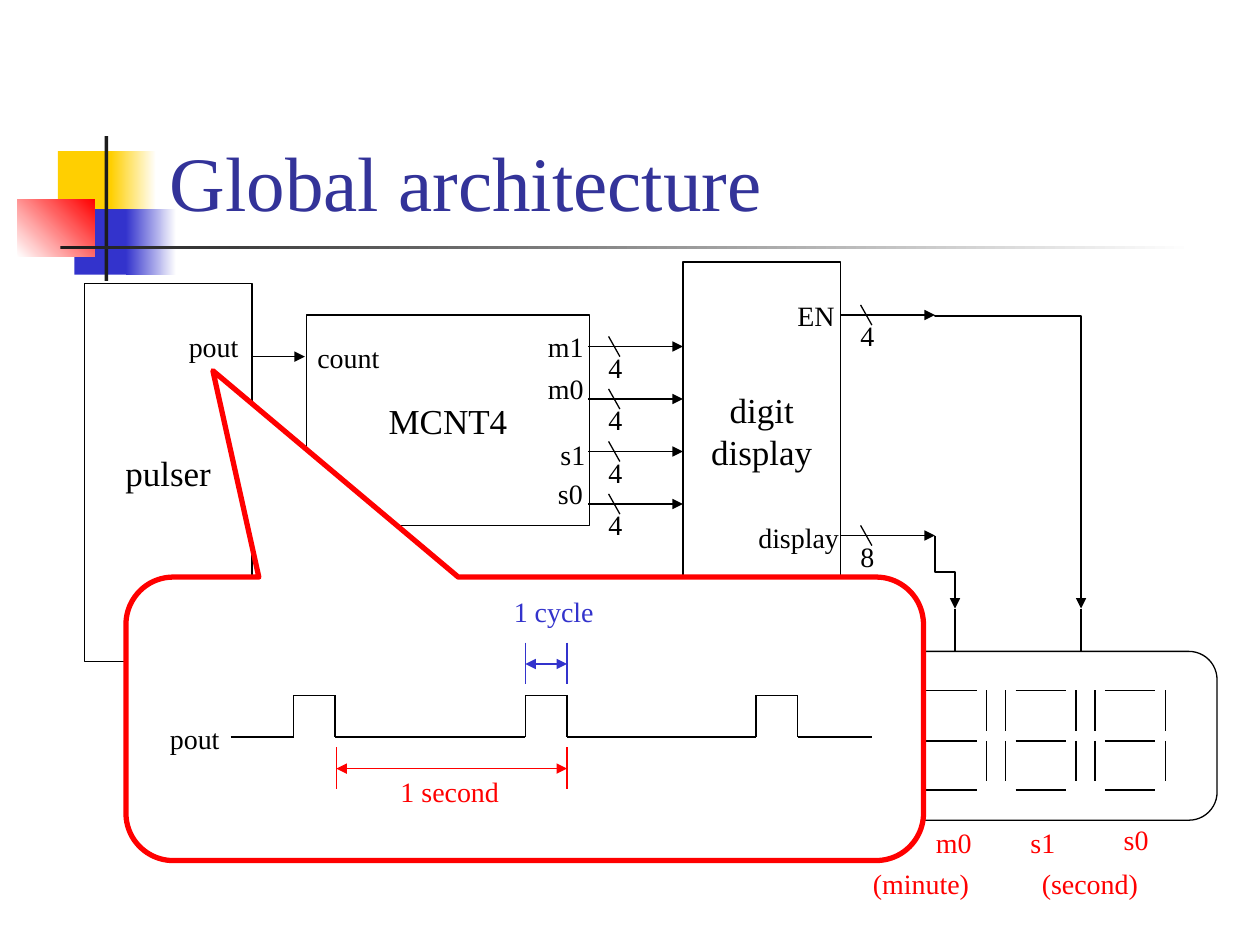
from dataclasses import dataclass
from itertools import pairwise
from typing import Optional

from lxml.etree import SubElement
from pptx import Presentation
from pptx.dml.color import RGBColor
from pptx.enum.shapes import MSO_CONNECTOR, MSO_SHAPE
from pptx.enum.text import MSO_ANCHOR, MSO_AUTO_SIZE, PP_ALIGN
from pptx.oxml.ns import qn
from pptx.util import Inches, Pt

COLORS = {
    "black": "000000", "white": "FFFFFF", "red": "FF0000", "blue": "3333CC",
    "yellow": "FFCF01", "bar": "1C1C1C", "title": "333399",
}
FONT = "Times New Roman"


@dataclass
class Deco:
    left: float
    top: float
    width: float
    height: float
    start: str
    end: Optional[str] = None
    angle: float = 0


@dataclass
class Block:
    text: str
    left: float
    top: float
    width: float
    height: float


@dataclass
class Label:
    text: str
    left: float
    top: float
    width: float
    color: str = "black"


@dataclass
class Bus:
    bits: str
    left: float
    y: float


@dataclass
class Elbow:
    left: float
    top: float
    right: float
    bottom: float
    bend: int


@dataclass
class Span:
    left: float
    right: float
    top: float
    color: str


def rgb(name: str) -> RGBColor:
    return RGBColor.from_string(COLORS[name])


def style_text(tf, size: float, color: str) -> None:
    for p in tf.paragraphs:
        for r in p.runs:
            r.font.name = FONT
            r.font.size = Pt(size)
            r.font.color.rgb = rgb(color)


def add_box(kind, left: float, top: float, width: float, height: float):
    s = slide.shapes.add_shape(kind, Inches(left), Inches(top), Inches(width), Inches(height))
    s.shadow.inherit = False
    s.fill.background()
    s.line.color.rgb = rgb("black")
    s.line.width = Pt(0.75)
    return s


def add_deco(d: Deco) -> None:
    s = add_box(MSO_SHAPE.RECTANGLE, d.left, d.top, d.width, d.height)
    s.line.fill.background()
    if d.end is None:
        s.fill.solid()
        s.fill.fore_color.rgb = rgb(d.start)
        return
    s.fill.gradient()
    s.fill.gradient_angle = d.angle
    for stop, color in zip(s.fill.gradient_stops, (d.start, d.end)):
        stop.color.rgb = rgb(color)


def add_block(b: Block) -> None:
    s = add_box(MSO_SHAPE.RECTANGLE, b.left, b.top, b.width, b.height)
    tf = s.text_frame
    tf.text = b.text
    tf.word_wrap = False
    tf.vertical_anchor = MSO_ANCHOR.MIDDLE
    for p in tf.paragraphs:
        p.alignment = PP_ALIGN.CENTER
    style_text(tf, 20, "black")


def add_label(label: Label) -> None:
    s = slide.shapes.add_textbox(
        Inches(label.left), Inches(label.top), Inches(label.width), Inches(0.37))
    tf = s.text_frame
    tf.text = label.text
    tf.word_wrap = False
    tf.auto_size = MSO_AUTO_SIZE.SHAPE_TO_FIT_TEXT
    style_text(tf, 16, label.color)


def add_line(x1: float, y1: float, x2: float, y2: float, color: str = "black",
             ends: tuple = (), kind=MSO_CONNECTOR.STRAIGHT):
    c = slide.shapes.add_connector(kind, Inches(x1), Inches(y1), Inches(x2), Inches(y2))
    c.line.color.rgb = rgb(color)
    c.line.width = Pt(0.75)
    for end in ends:
        SubElement(c.line._get_or_add_ln(), qn(f"a:{end}"), type="triangle")
    SubElement(c._element.spPr, qn("a:effectLst"))
    return c


def add_bus(b: Bus) -> None:
    add_line(b.left, b.y, b.left + 0.75, b.y, ends=("tailEnd",))
    add_line(b.left + 0.16, b.y - 0.08, b.left + 0.25, b.y + 0.08)
    add_label(Label(b.bits, b.left + 0.06, b.y - 0.02, 0.31))


def add_elbow(e: Elbow) -> None:
    cx, cy = (e.left + e.right) / 2, (e.top + e.bottom) / 2
    half_w, half_h = (e.bottom - e.top) / 2, (e.right - e.left) / 2
    c = add_line(cx + half_w, cy - half_h, cx - half_w, cy + half_h,
                 ends=("tailEnd",), kind=MSO_CONNECTOR.ELBOW)
    c._element.spPr.find(qn("a:xfrm")).set("rot", "16200000")
    guides = c._element.spPr.find(qn("a:prstGeom")).find(qn("a:avLst"))
    SubElement(guides, qn("a:gd"), name="adj1", fmla=f"val {e.bend}")


def add_digit(left: float) -> None:
    for y in (5.48, 5.88, 6.27):
        add_line(left + 0.08, y, left + 0.48, y)
    for x in (left, left + 0.56):
        for y in (5.48, 5.88):
            add_line(x, y, x, y + 0.32)


def add_span(m: Span) -> None:
    for x in (m.left, m.right):
        add_line(x, m.top, x, m.top + 0.33, m.color)
    y = m.top + 0.17
    add_line(m.left, y, m.right, y, m.color, ("headEnd", "tailEnd"))


prs = Presentation()
prs.slide_width, prs.slide_height = Inches(10), Inches(7.5)
slide = prs.slides.add_slide(prs.slide_layouts[6])

for deco in (
    Deco(0.46, 1.2, 0.48, 0.52, "yellow"),
    Deco(0.88, 1.2, 0.36, 0.52, "yellow", "white"),
    Deco(0.59, 1.66, 0.46, 0.52, "blue"),
    Deco(1, 1.66, 0.4, 0.52, "blue", "white"),
    Deco(0.14, 1.58, 0.61, 0.46, "white", "red", 45),
    Deco(0.83, 1.08, 0.03, 1.15, "bar"),
    Deco(0.48, 1.95, 9, 0.03, "bar", "white"),
):
    add_deco(deco)

title = slide.shapes.add_textbox(Inches(1.25), Inches(0.25), Inches(8.52), Inches(1.6))
title.text_frame.text = "Global architecture"
title.text_frame.word_wrap = True
title.text_frame.vertical_anchor = MSO_ANCHOR.BOTTOM
style_text(title.text_frame, 44, "title")

for block in (
    Block("pulser", 0.67, 2.25, 1.33, 3),
    Block("MCNT4", 2.43, 2.5, 2.25, 1.67),
    Block("digit\ndisplay", 5.42, 2.08, 1.25, 2.67),
):
    add_block(block)

for label in (
    Label("pout", 1.4, 2.57, 0.6), Label("count", 2.42, 2.65, 0.7),
    Label("m1", 4.25, 2.57, 0.49), Label("m0", 4.25, 2.9, 0.49),
    Label("s1", 4.35, 3.42, 0.4), Label("s0", 4.33, 3.73, 0.4),
    Label("EN", 6.23, 2.32, 0.5), Label("display", 5.92, 4.08, 0.85),
    Label("s0", 8.82, 6.48, 0.4, "red"), Label("s1", 8.08, 6.5, 0.4, "red"),
    Label("m0", 7.33, 6.5, 0.49, "red"),
    Label("(second)", 8.17, 6.83, 0.97, "red"), Label("(minute)", 6.83, 6.83, 0.97, "red"),
):
    add_label(label)

add_line(2, 2.83, 2.42, 2.83, ends=("tailEnd",))
counter_buses = [Bus("4", 4.67, 2.75 + i * 1.25 / 3) for i in range(4)]
for bus in [Bus("4", 6.67, 2.5), Bus("8", 6.67, 4.25), *counter_buses]:
    add_bus(bus)

for i in range(3):
    add_digit(7.27 + i * 0.71)
panel = add_box(MSO_SHAPE.ROUNDED_RECTANGLE, 6.33, 5.17, 3.33, 1.34)
panel.adjustments[0] = 0.167
for x in (7.58, 8.58):
    add_line(x, 5.17, x, 4.83)
for elbow in (Elbow(7.42, 4.25, 7.58, 4.83, 50000), Elbow(7.42, 2.5, 8.58, 4.83, 400)):
    add_elbow(elbow)

callout = add_box(MSO_SHAPE.ROUNDED_RECTANGULAR_CALLOUT, 1, 4.58, 6.33, 2.25)
for i, value in enumerate((-0.391, -1.228, 0.167)):
    callout.adjustments[i] = value
callout.fill.solid()
callout.fill.fore_color.rgb = rgb("white")
callout.line.color.rgb = rgb("red")
callout.line.width = Pt(3)

LOW, HIGH = 5.85, 5.52
wave = [(1.83, LOW)]
for rise in (2.33, 4.17, 6):
    fall = rise + 0.33
    wave += [(rise, LOW), (rise, HIGH), (fall, HIGH), (fall, LOW)]
wave.append((6.92, LOW))
for start, end in pairwise(wave):
    add_line(*start, *end)

for span in (Span(4.17, 4.5, 5.1, "blue"), Span(2.67, 4.5, 5.93, "red")):
    add_span(span)
for label in (
    Label("pout", 1.25, 5.68, 0.6),
    Label("1 cycle", 3.98, 4.67, 0.84, "blue"),
    Label("1 second", 3.08, 6.1, 0.99, "red"),
):
    add_label(label)

prs.save("out.pptx")
